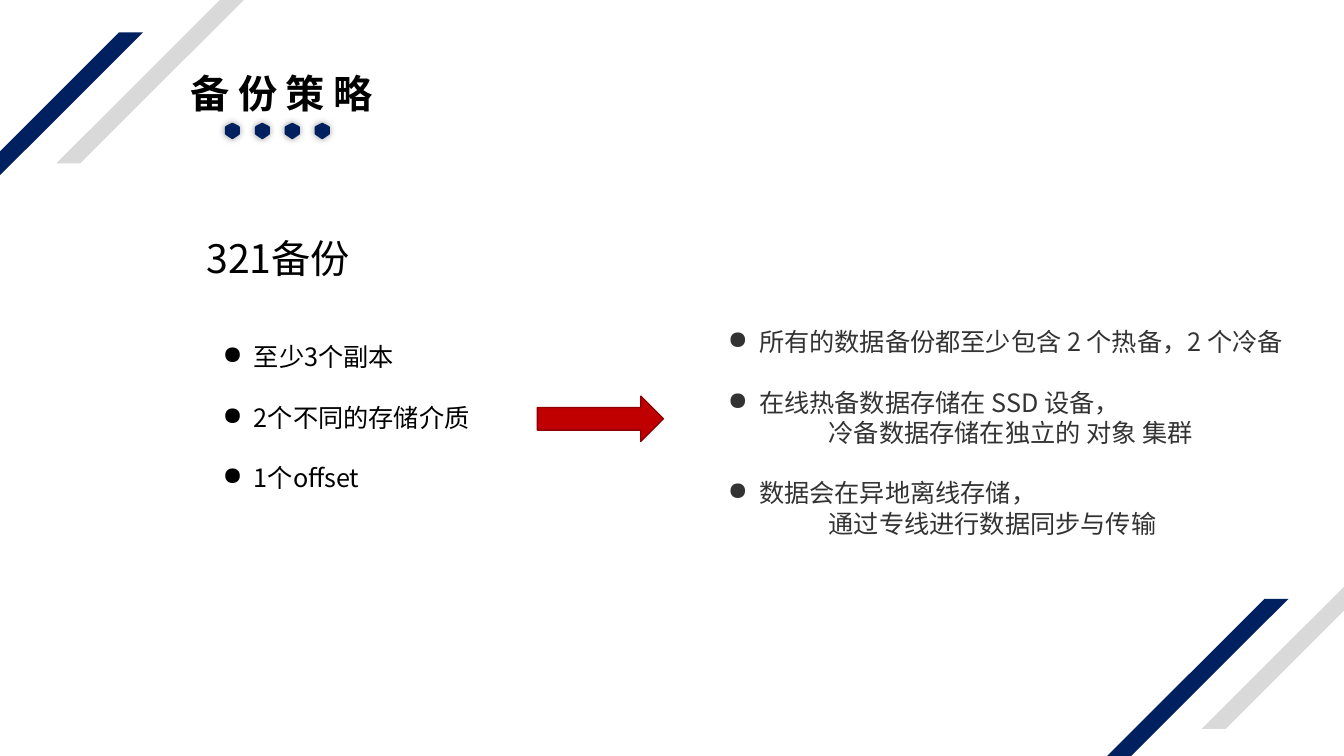
from lxml import etree
from pptx import Presentation
from pptx.dml.color import RGBColor
from pptx.enum.shapes import MSO_SHAPE
from pptx.enum.text import MSO_ANCHOR, MSO_AUTO_SIZE, PP_ALIGN
from pptx.oxml import parse_xml
from pptx.oxml.ns import nsdecls, qn
from pptx.util import Inches, Pt

PARALLELOGRAM = MSO_SHAPE.PARALLELOGRAM
RIGHT_ARROW = MSO_SHAPE.RIGHT_ARROW
TOP = MSO_ANCHOR.TOP
LEFT = PP_ALIGN.LEFT
FIXED_SIZE = MSO_AUTO_SIZE.NONE

FONT = "Noto Sans CJK SC"
NAVY, GREY, RED, DARK_RED = "002060", "D9D9D9", "C00000", "8E0000"
BLACK, CHARCOAL = "000000", "333333"
LINE_RATIO = 1.2
HANGING = 0.31

# Hexagon with slightly cut corners, in hundredths of an inch
HEXAGON = [(0, 4), (1, 3), (7, 0), (8, 0), (14, 3), (15, 4),
           (15, 11), (14, 12), (8, 16), (7, 16), (1, 12), (0, 11)]


def color(value):
    return RGBColor.from_string(value)


def paint(shape, fill, line=None):
    shape.shadow.inherit = False
    shape.fill.solid()
    shape.fill.fore_color.rgb = color(fill)
    if line:
        shape.line.color.rgb = color(line)
        shape.line.width = Pt(1)
    else:
        shape.line.fill.background()


def add_preset(page, kind, left, top, width, height, fill, line=None):
    shape = page.shapes.add_shape(kind, Inches(left), Inches(top),
                                  Inches(width), Inches(height))
    paint(shape, fill, line)
    return shape


def add_stripe(page, left, top, fill):
    stripe = add_preset(page, PARALLELOGRAM, left, top, 2.83, 2.59, fill)
    stripe.adjustments[0] = 1.001


def add_dot(page, left, top):
    builder = page.shapes.build_freeform(*HEXAGON[0], scale=Inches(0.01))
    builder.add_line_segments(HEXAGON[1:], close=True)
    dot = builder.convert_to_shape(Inches(left), Inches(top))
    paint(dot, NAVY)
    effects = dot._element.spPr.find(qn("a:effectLst"))
    effects.append(parse_xml(
        f'<a:outerShdw {nsdecls("a")} blurRad="{Pt(5)}" dist="0">'
        '<a:srgbClr val="000000"><a:alpha val="40000"/></a:srgbClr>'
        '</a:outerShdw>'))


def write(para, text, size=18, fill=BLACK, bold=False, spacing=0,
          bullet=False, indent=0, before=0):
    """Fill one paragraph with text in the given format."""
    para.alignment = LEFT
    para.line_spacing = Pt(size * LINE_RATIO)
    para.space_before = Pt(before)
    properties = para._p.get_or_add_pPr()
    margin = HANGING if bullet else indent
    properties.set("marL", str(Inches(margin)))
    properties.set("indent", str(Inches(-HANGING if bullet else 0)))
    if bullet:
        etree.SubElement(properties, qn("a:buChar")).set("char", "●")
    span = para.add_run()
    span.text = text
    span.font.size = Pt(size)
    span.font.bold = bold
    span.font.name = FONT
    span.font.color.rgb = color(fill)
    run_properties = span._r.get_or_add_rPr()
    etree.SubElement(run_properties, qn("a:ea")).set("typeface", FONT)
    if spacing:
        run_properties.set("spc", str(spacing * 100))


def place(box, left, top, width, height):
    box.left, box.top = Inches(left), Inches(top)
    box.width, box.height = Inches(width), Inches(height)
    frame = box.text_frame
    frame.auto_size = FIXED_SIZE
    frame.word_wrap = True
    frame.vertical_anchor = TOP
    return frame


def add_text(page, left, top, width, height):
    return place(page.shapes.add_textbox(0, 0, 0, 0), left, top, width, height)


def add_list(page, left, top, width, height, items, fill):
    """Each item is a bullet line, then any indented lines below it."""
    frame = add_text(page, left, top, width, height)
    para = frame.paragraphs[0]
    for index, (head, *details) in enumerate(items):
        if index:
            para = frame.add_paragraph()
        write(para, head, fill=fill, bullet=True,
              before=18 * LINE_RATIO if index else 0)
        for detail in details:
            write(frame.add_paragraph(), detail, fill=fill, indent=1)


def main():
    deck = Presentation()
    deck.slide_width, deck.slide_height = Inches(13.33), Inches(7.5)
    page = deck.slides.add_slide(deck.slide_layouts[5])

    # Corner stripes
    for left, top, fill in [(-1.41, 0.32, NAVY), (0.56, -0.97, GREY),
                            (9.95, 5.94, NAVY), (11.92, 4.64, GREY)]:
        add_stripe(page, left, top, fill)

    # Title and its row of dots
    title = place(page.shapes.title, 1.79, 0.64, 2.11, 0.57)
    title.margin_right = 0
    write(title.paragraphs[0], "备份策略", size=28, bold=True, spacing=6)
    for index in range(4):
        add_dot(page, 2.23 + 0.297 * index, 1.22)

    # Backup rule
    heading = add_text(page, 1.95, 2.28, 1.68, 0.57)
    write(heading.paragraphs[0], "321备份", size=28)
    add_list(page, 2.11, 3.34, 2.68, 1.62,
             [["至少3个副本"], ["2个不同的存储介质"], ["1个offset"]], BLACK)

    # How the rule is applied
    add_list(page, 7.12, 3.19, 5.8, 2.22, [
        ["所有的数据备份都至少包含 2 个热备，2 个冷备"],
        ["在线热备数据存储在 SSD 设备，", "冷备数据存储在独立的 对象 集群"],
        ["数据会在异地离线存储，", "通过专线进行数据同步与传输"],
    ], CHARCOAL)
    add_preset(page, RIGHT_ARROW, 5.33, 3.93, 1.25, 0.45, RED, DARK_RED)

    deck.save("out.pptx")


if __name__ == "__main__":
    main()
